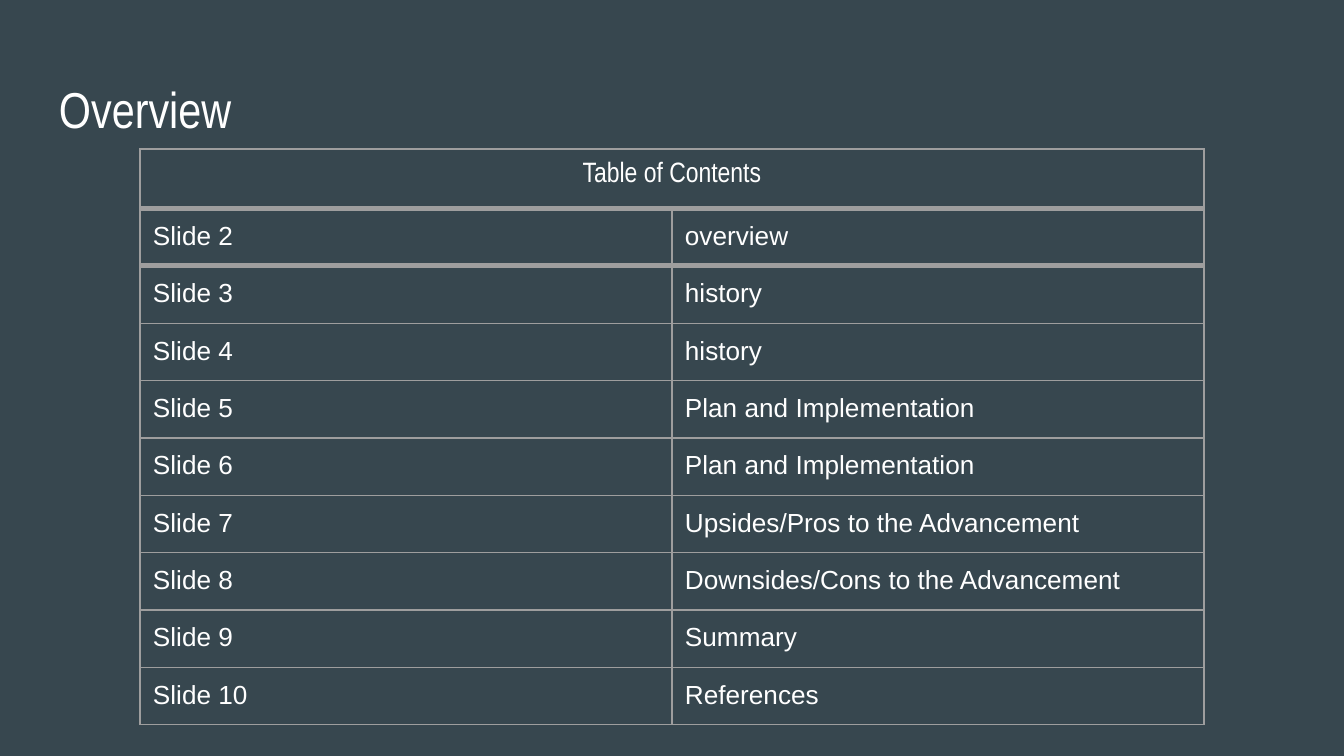
from dataclasses import dataclass

from pptx import Presentation
from pptx import util as u
from pptx.dml.color import RGBColor
from pptx.enum import text
from pptx.oxml.ns import qn
from lxml import etree

PX = 914400 / 134.4


@dataclass(frozen=True)
class Theme:
    """Colours, fonts, type sizes and line widths of the slide."""
    background: str = "37474F"
    ink: str = "FFFFFF"
    line: str = "9E9E9E"
    heading_font: str = "Arial Narrow"
    body_font: str = "Arial"
    title_size: float = 27
    header_size: float = 15
    body_size: float = 14
    thin: float = 0.75
    thick: float = 3


THEME = Theme()
INSET = 13
CONTENTS = [
    "overview",
    "history",
    "history",
    "Plan and Implementation",
    "Plan and Implementation",
    "Upsides/Pros to the Advancement",
    "Downsides/Cons to the Advancement",
    "Summary",
    "References",
]


def px(length):
    """Turn px into EMU."""
    return u.Emu(round(length * PX))


def set_insets(holder):
    """Give a cell or text frame the common inset on all sides."""
    holder.margin_left = holder.margin_right = px(INSET)
    holder.margin_top = holder.margin_bottom = px(INSET)


def write(frame, wording, font, size, alignment=text.PP_ALIGN.LEFT):
    """Write one styled paragraph into a text frame."""
    paragraph = frame.paragraphs[0]
    paragraph.text = wording
    paragraph.alignment = alignment
    paragraph.font.name = font
    paragraph.font.size = u.Pt(size)
    paragraph.font.color.rgb = RGBColor.from_string(THEME.ink)


def set_borders(cell, top, bottom):
    """Draw thin side borders and the given top and bottom widths."""
    properties = cell._tc.get_or_add_tcPr()
    widths = {"a:lnL": THEME.thin, "a:lnR": THEME.thin, "a:lnT": top, "a:lnB": bottom}
    for position, (tag, width) in enumerate(widths.items()):
        line = etree.Element(qn(tag), w=str(u.Pt(width)))
        fill = etree.SubElement(line, qn("a:solidFill"))
        etree.SubElement(fill, qn("a:srgbClr"), val=THEME.line)
        properties.insert(position, line)


def add_title(slide, left, top, width, height):
    """Place the slide title in the given box."""
    shape = slide.shapes.add_textbox(px(left), px(top), px(width), px(height))
    frame = shape.text_frame
    frame.word_wrap = True
    frame.vertical_anchor = text.MSO_ANCHOR.MIDDLE
    set_insets(frame)
    write(frame, "Overview", THEME.heading_font, THEME.title_size)


def add_contents_table(slide, left, top, width, header_height, row_height):
    """Place the table of contents with a merged header row."""
    row_count = len(CONTENTS) + 1
    height = header_height + row_height * len(CONTENTS)
    table = slide.shapes.add_table(
        row_count, 2, px(left), px(top), px(width), px(height)
    ).table
    table.first_row = table.horz_banding = False
    for column in table.columns:
        column.width = px(width / 2)
    for index, row in enumerate(table.rows):
        row.height = px(row_height if index else header_height)
        for cell in row.cells:
            cell.fill.background()
            set_insets(cell)
            set_borders(
                cell,
                THEME.thick if index in (1, 2) else THEME.thin,
                THEME.thick if index in (0, 1) else THEME.thin,
            )
    header = table.cell(0, 0)
    header.merge(table.cell(0, 1))
    write(header.text_frame, "Table of Contents", THEME.heading_font,
          THEME.header_size, text.PP_ALIGN.CENTER)
    for index, topic in enumerate(CONTENTS, start=1):
        for column, wording in enumerate((f"Slide {index + 1}", topic)):
            write(table.cell(index, column).text_frame, wording,
                  THEME.body_font, THEME.body_size)


def main():
    """Build the overview slide and save it."""
    presentation = Presentation()
    presentation.slide_width, presentation.slide_height = px(1344), px(756)
    slide = presentation.slides.add_slide(presentation.slide_layouts[6])
    slide.background.fill.solid()
    slide.background.fill.fore_color.rgb = RGBColor.from_string(THEME.background)
    add_title(slide, left=46, top=66, width=1252, height=84)
    add_contents_table(slide, left=140, top=149, width=1064,
                       header_height=59, row_height=56)
    presentation.save("out.pptx")


if __name__ == "__main__":
    main()
